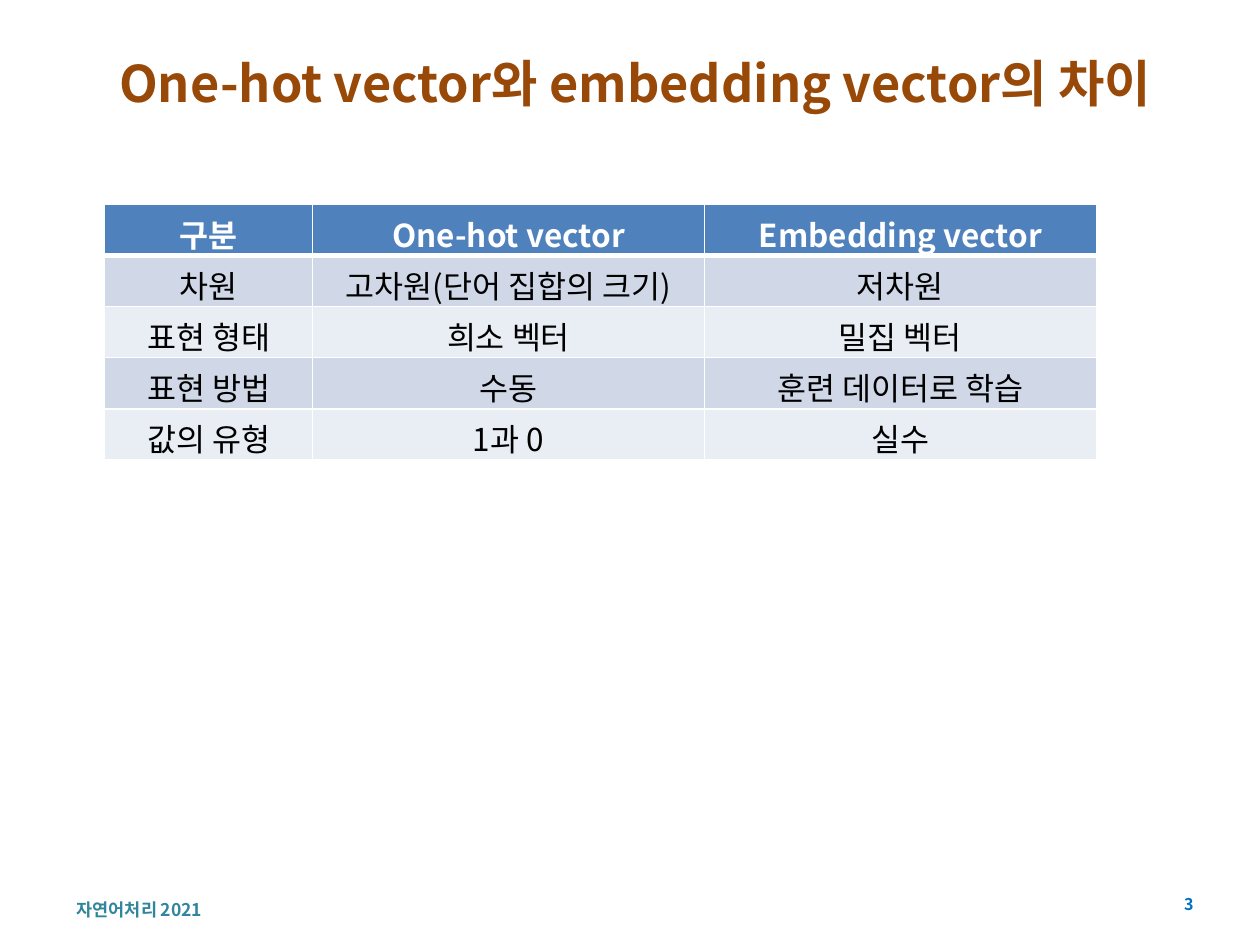
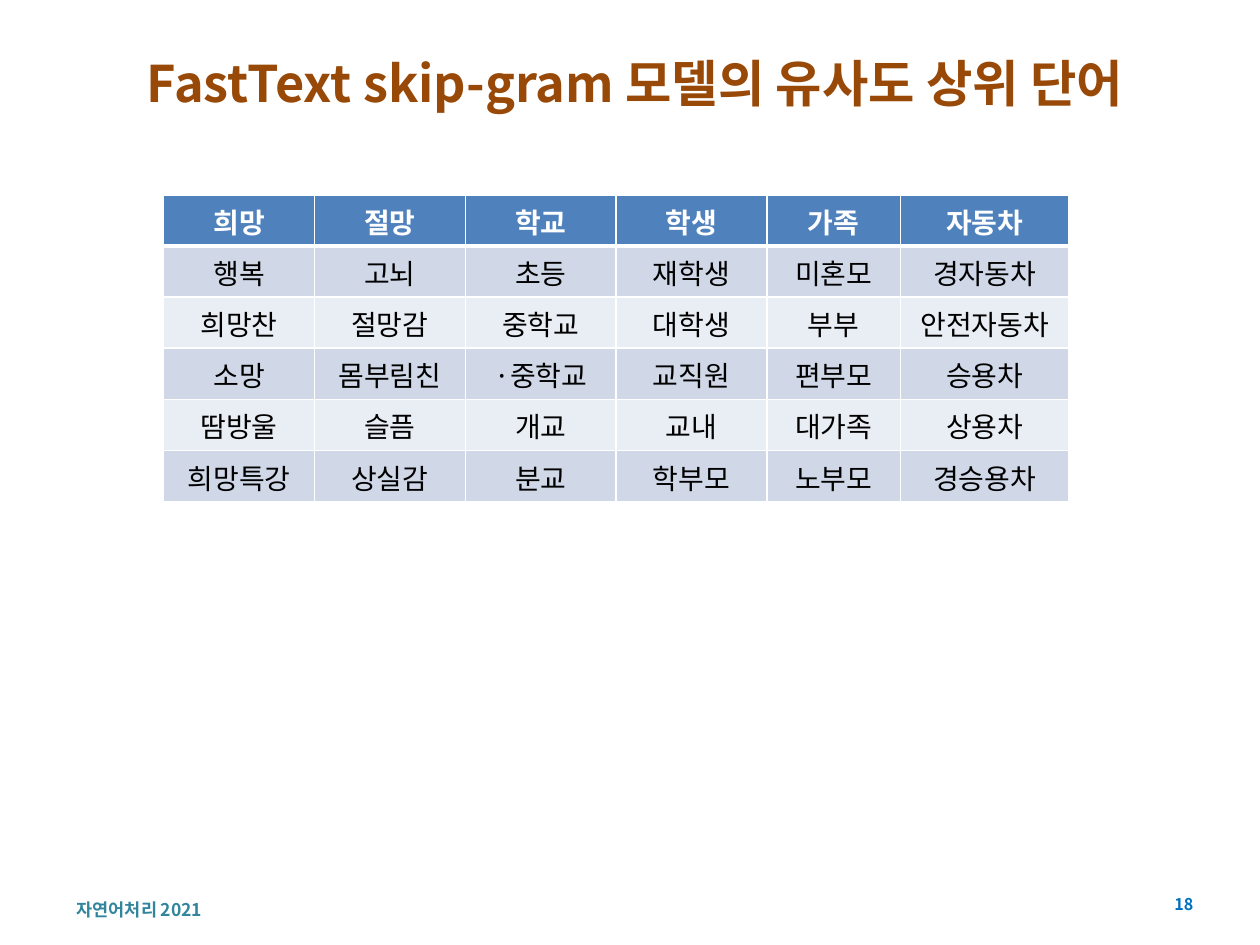
from lxml import etree
from pptx import Presentation
from pptx import util as u
from pptx.dml.color import RGBColor
from pptx.enum import text
from pptx.oxml.ns import qn

HUE = {"title": "984807", "foot": "31859C", "page": "0070C0", "head": "4F81BD",
       "odd": "D0D8E8", "even": "E9EDF4", "white": "FFFFFF", "black": "000000"}
FACE = "Noto Sans CJK KR"
MID, LEFT, RIGHT = text.PP_ALIGN.CENTER, text.PP_ALIGN.LEFT, text.PP_ALIGN.RIGHT

# Shared boxes: left, top, width, height in cm, then size, colour, alignment
BOXES = {
    "foot": (1.3, 18.14, 6.6, 0.4, 10, "foot", LEFT),
    "page": (22.91, 17.93, 1.4, 0.61, 9.2, "page", RIGHT),
    "title": (1.3, 0.91, 23.01, 1.52, 28.8, "title", MID),
}
ROW = 1.03

# Content of each slide
SLIDES = [
    {"title": "One-hot vector와 embedding vector의 차이", "page": "3",
     "at": (2.11, 4.12), "size": 18, "cols": [4.19, 7.9, 7.9],
     "rows": [
         ["구분", "One-hot vector", "Embedding vector"],
         ["차원", "고차원(단어 집합의 크기)", "저차원"],
         ["표현 형태", "희소 벡터", "밀집 벡터"],
         ["표현 방법", "수동", "훈련 데이터로 학습"],
         ["값의 유형", "1과 0", "실수"]]},
    {"title": "FastText skip-gram 모델의 유사도 상위 단어", "page": "18",
     "at": (3.3, 3.93), "size": 16, "cols": [3.04] * 4 + [2.69, 3.4],
     "rows": [
         ["희망", "절망", "학교", "학생", "가족", "자동차"],
         ["행복", "고뇌", "초등", "재학생", "미혼모", "경자동차"],
         ["희망찬", "절망감", "중학교", "대학생", "부부", "안전자동차"],
         ["소망", "몸부림친", "·중학교", "교직원", "편부모", "승용차"],
         ["땀방울", "슬픔", "개교", "교내", "대가족", "상용차"],
         ["희망특강", "상실감", "분교", "학부모", "노부모", "경승용차"]]},
]


def write(frame, words, size, hue, align, bold=True):
    para = frame.paragraphs[0]
    para.alignment = align
    run = para.add_run()
    run.text = words
    look = {"name": FACE, "size": u.Pt(size), "bold": bold}
    for key, val in look.items():
        setattr(run.font, key, val)
    run.font.color.rgb = RGBColor.from_string(HUE[hue])
    etree.SubElement(run.font._element, qn("a:ea"), typeface=FACE)


def edge(cell, side, width):
    props = cell._tc.get_or_add_tcPr()
    line = etree.SubElement(props, qn("a:ln" + side), w=str(u.Pt(width)))
    fill = etree.SubElement(line, qn("a:solidFill"))
    etree.SubElement(fill, qn("a:srgbClr"), val=HUE["white"])


deck = Presentation()
deck.slide_width, deck.slide_height = u.Cm(25.4), u.Cm(19.05)

for item in SLIDES:
    slide = deck.slides.add_slide(deck.slide_layouts[6])

    # Footer, page number and title
    words = {"foot": "자연어처리 2021", "page": item["page"], "title": item["title"]}
    for name, (*place, size, hue, align) in BOXES.items():
        frame = slide.shapes.add_textbox(*map(u.Cm, place)).text_frame
        frame.word_wrap = True
        frame.vertical_anchor = text.MSO_ANCHOR.MIDDLE
        write(frame, words[name], size, hue, align)

    # Table grid
    rows, cols = item["rows"], item["cols"]
    left, top = item["at"]
    grid = slide.shapes.add_table(
        len(rows), len(cols), u.Cm(left), u.Cm(top),
        u.Cm(sum(cols)), u.Cm(ROW * len(rows))).table
    for col, width in zip(grid.columns, cols):
        col.width = u.Cm(width)

    # Header row, then banded rows; a thick rule parts them
    for r, row in enumerate(rows):
        head = r == 0
        band = "head" if head else "odd" if r % 2 else "even"
        rules = {"L": 1, "R": 1, "T": 3 if r == 1 else 1, "B": 3 if head else 1}
        for c, word in enumerate(row):
            cell = grid.cell(r, c)
            for side, width in rules.items():
                edge(cell, side, width)
            cell.fill.solid()
            cell.fill.fore_color.rgb = RGBColor.from_string(HUE[band])
            write(cell.text_frame, word, item["size"],
                  "white" if head else "black", MID, head)

deck.save("out.pptx")
